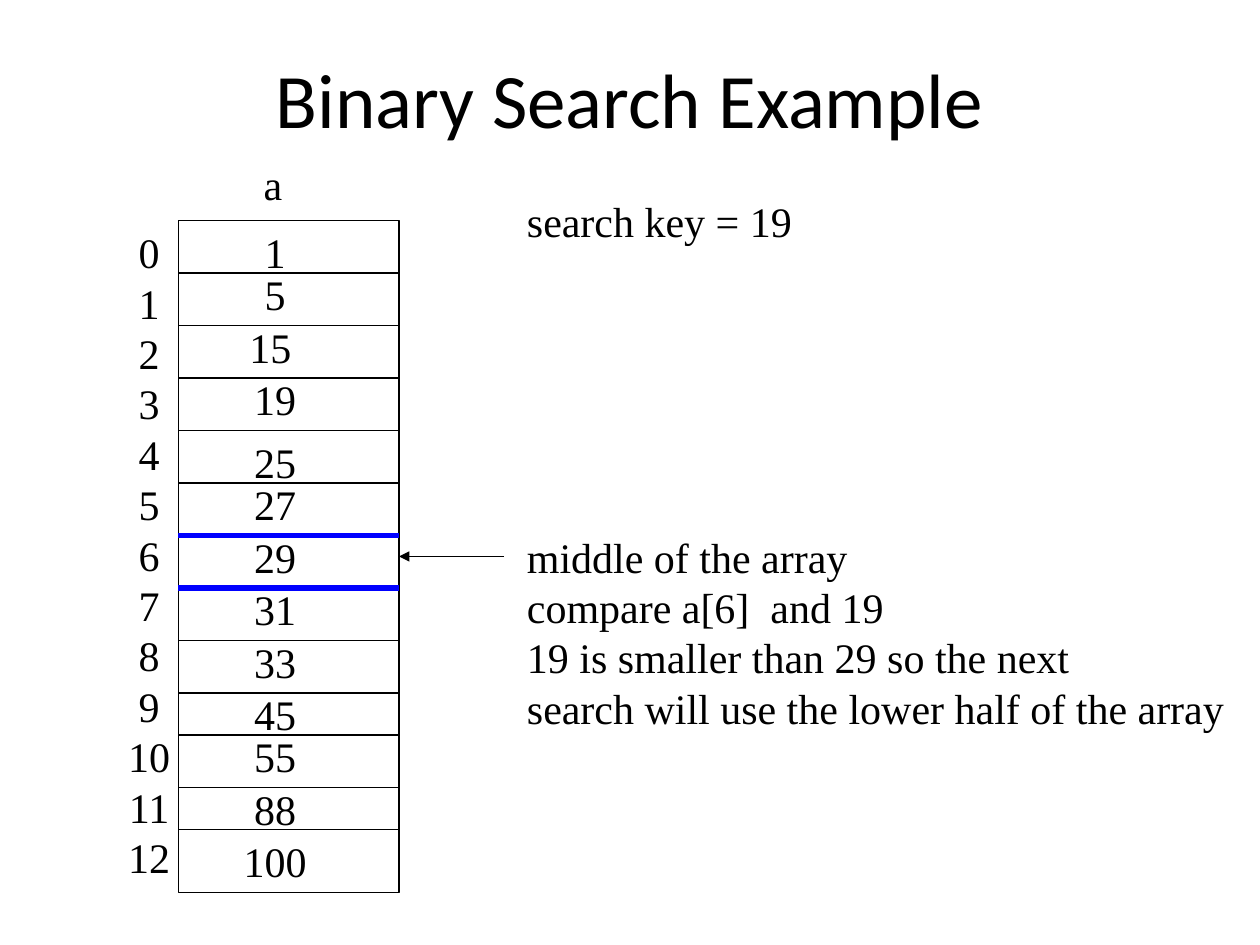
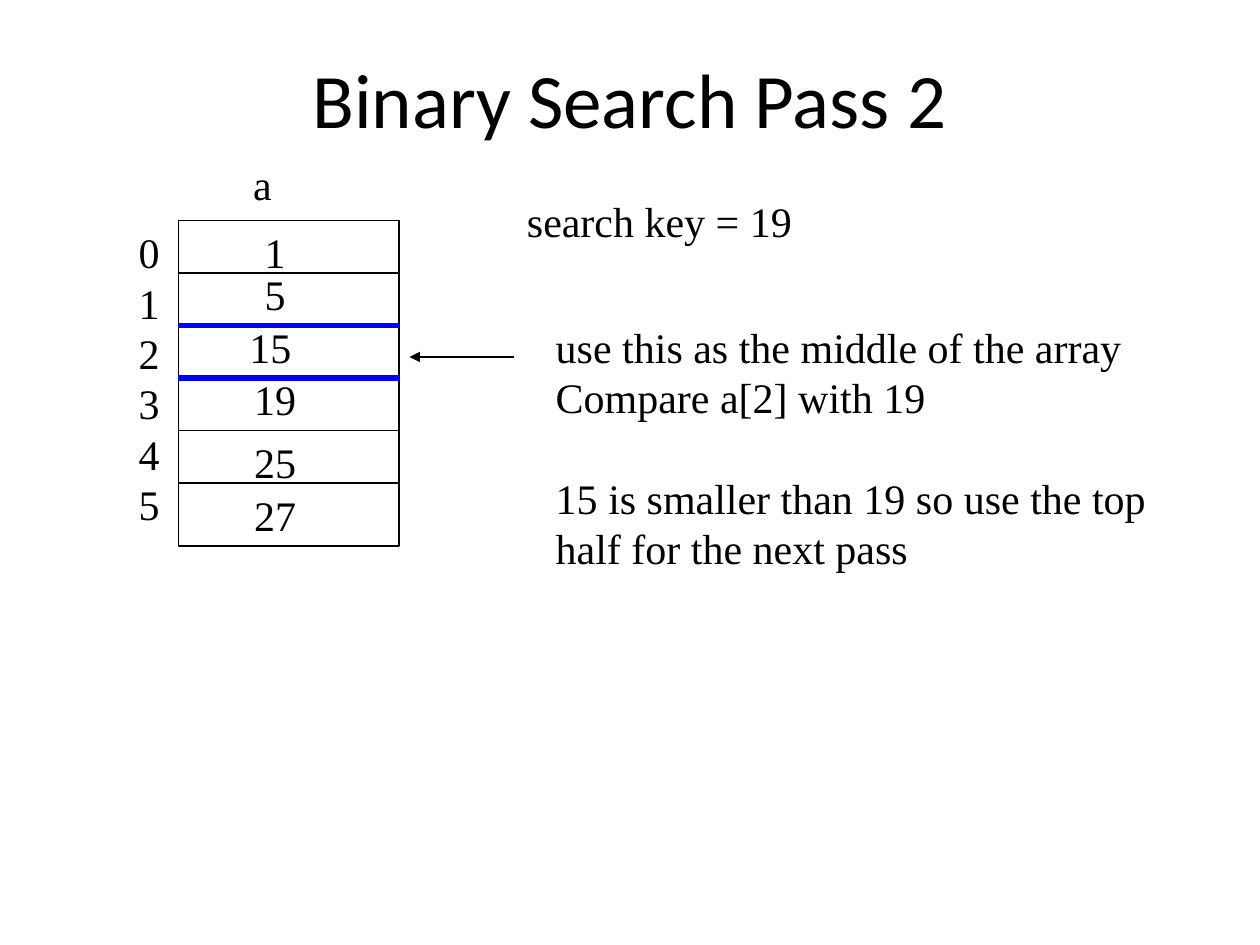
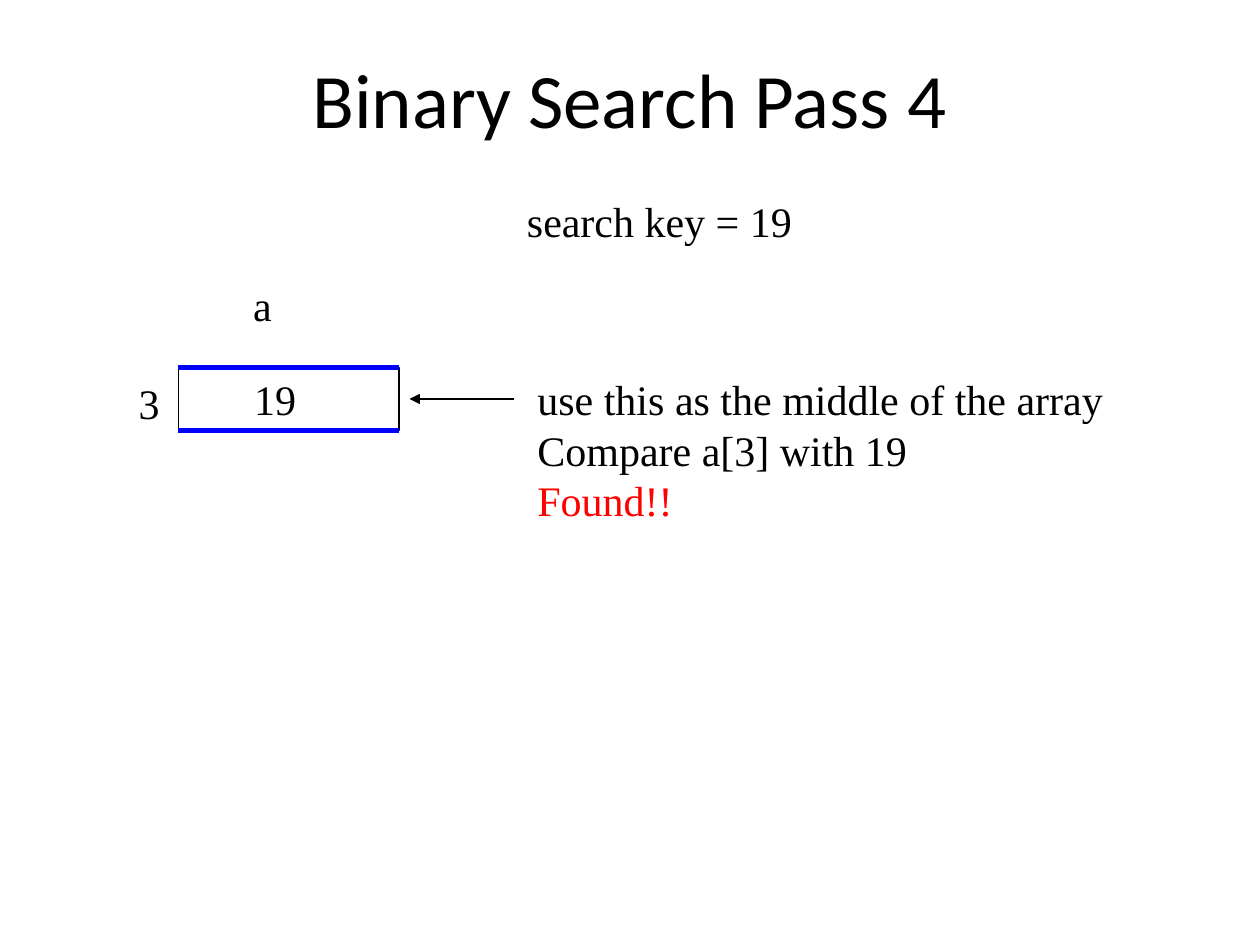
from dataclasses import dataclass

import pptx
import pptx.dml.color
import pptx.enum.shapes
import pptx.enum.text
import pptx.oxml
import pptx.oxml.ns
import pptx.slide
import pptx.util
from lxml import etree

ALIGN = pptx.enum.text.PP_ALIGN
ANCHOR = pptx.enum.text.MSO_ANCHOR
COLUMNS, ROWS = 120, 90
SLIDE_WIDTH, SLIDE_HEIGHT = pptx.util.Inches(10), pptx.util.Inches(7.5)
ARRAY_LEFT, ARRAY_RIGHT = 17, 38
VALUE_CENTER, INDEX_CENTER = 26.2, 14.2
LINE_ROWS, PADDING_ROWS = 4.8, 1.2


@dataclass(frozen=True)
class Theme:
    ink: str = "000000"
    highlight: str = "0000FF"
    success: str = "FF0000"
    title_font: str = "Calibri"
    body_font: str = "Times New Roman"
    title_size: float = 44
    body_size: float = 24
    line_pitch: float = 28.8
    thin: float = 0.75
    thick: float = 3


THEME = Theme()


@dataclass(frozen=True)
class Box:
    left: float
    top: float
    width: float
    height: float


@dataclass(frozen=True)
class Cell:
    value: str
    top: float
    text_top: float
    center: float = VALUE_CENTER


@dataclass(frozen=True)
class Line:
    text: str
    color: str = THEME.ink
    gap_before: float = 0


@dataclass(frozen=True)
class Note:
    left: float
    top: float
    width: float
    lines: tuple[Line, ...]


@dataclass(frozen=True)
class SearchPass:
    title: str
    cells: tuple[Cell, ...]
    bottom: float
    first_index: int
    index_top: float
    name_center: float
    name_top: float
    middle: tuple[float, float]
    arrow_tip: float
    arrow_row: float
    note: Note


ARRAY = (
    Cell("1", 21, 21),
    Cell("5", 26, 25),
    Cell("15", 31, 30, 25.75),
    Cell("19", 36, 35),
    Cell("25", 41, 41),
    Cell("27", 46, 45),
    Cell("29", 51, 50),
    Cell("31", 56, 55),
    Cell("33", 61, 60),
    Cell("45", 66, 65),
    Cell("55", 70, 69),
    Cell("88", 75, 74),
    Cell("100", 79, 79),
)

PASSES = (
    SearchPass(
        "Binary Search Example", ARRAY, bottom=85, first_index=0, index_top=21,
        name_center=26, name_top=14.5, middle=(51, 56), arrow_tip=38, arrow_row=53,
        note=Note(49, 50, 69, (
            Line("middle of the array"),
            Line("compare a[6]  and 19"),
            Line("19 is smaller than 29 so the next"),
            Line("search will use the lower half of the array"),
        )),
    ),
    SearchPass(
        "Binary Search Pass 2", (*ARRAY[:5], Cell("27", 46, 46)), bottom=52,
        first_index=0, index_top=21, name_center=25, name_top=14.5,
        middle=(31, 36), arrow_tip=39, arrow_row=34,
        note=Note(51.75, 30, 60, (
            Line("use this as the middle of the array"),
            Line("Compare a[2] with 19"),
            Line("15 is smaller than 19 so use the top", gap_before=THEME.line_pitch),
            Line("half for the next pass"),
        )),
    ),
    SearchPass(
        "Binary Search Pass 4", (Cell("19", 35, 35),), bottom=41, first_index=3,
        index_top=35.4, name_center=25, name_top=26, middle=(35, 41),
        arrow_tip=39, arrow_row=38,
        note=Note(50, 35, 58, (
            Line("use this as the middle of the array"),
            Line("Compare a[3] with 19"),
            Line("Found!!", color=THEME.success),
        )),
    ),
)


def across(columns: float) -> int:
    return round(SLIDE_WIDTH * columns / COLUMNS)


def down(rows: float) -> int:
    return round(SLIDE_HEIGHT * rows / ROWS)


def frame(box: Box) -> tuple[int, int, int, int]:
    return across(box.left), down(box.top), across(box.width), down(box.height)


def rgb(color: str) -> pptx.dml.color.RGBColor:
    return pptx.dml.color.RGBColor.from_string(color)


def add_text(slide: pptx.slide.Slide, box: Box, lines: tuple[Line, ...], *,
             font: str = THEME.body_font, size: float = THEME.body_size,
             pitch: float | None = THEME.line_pitch, align: ALIGN = ALIGN.LEFT,
             anchor: ANCHOR = ANCHOR.TOP, wrap: bool = True) -> None:
    text_frame = slide.shapes.add_textbox(*frame(box)).text_frame
    text_frame.word_wrap = wrap
    text_frame.vertical_anchor = anchor
    for number, line in enumerate(lines):
        paragraph = text_frame.add_paragraph() if number else text_frame.paragraphs[0]
        paragraph.text = line.text
        paragraph.alignment = align
        if pitch:
            paragraph.line_spacing = pptx.util.Pt(pitch)
        if line.gap_before:
            paragraph.space_before = pptx.util.Pt(line.gap_before)
        paragraph.font.name = font
        paragraph.font.size = pptx.util.Pt(size)
        paragraph.font.color.rgb = rgb(line.color)


def add_centered(slide: pptx.slide.Slide, center: float, top: float, *texts: str) -> None:
    width = 2.4 + 2 * max(map(len, texts))
    height = PADDING_ROWS + LINE_ROWS * len(texts)
    add_text(slide, Box(center - width / 2, top, width, height),
             tuple(map(Line, texts)), align=ALIGN.CENTER, wrap=False)


def add_line(slide: pptx.slide.Slide, start: float, end: float, row: float, *,
             color: str = THEME.ink, weight: float = THEME.thin,
             arrow: bool = False) -> None:
    connector = slide.shapes.add_connector(
        pptx.enum.shapes.MSO_CONNECTOR.STRAIGHT,
        across(start), down(row), across(end), down(row))
    connector.line.color.rgb = rgb(color)
    connector.line.width = pptx.util.Pt(weight)
    if arrow:
        outline = connector.line._get_or_add_ln()
        etree.SubElement(outline, pptx.oxml.ns.qn("a:tailEnd"), type="triangle")
    etree.SubElement(connector._element.spPr, pptx.oxml.ns.qn("a:effectLst"))


def add_array(slide: pptx.slide.Slide, search: SearchPass) -> None:
    top = search.cells[0].top
    outline = slide.shapes.add_shape(
        pptx.enum.shapes.MSO_SHAPE.RECTANGLE,
        *frame(Box(ARRAY_LEFT, top, ARRAY_RIGHT - ARRAY_LEFT, search.bottom - top)))
    outline.shadow.inherit = False
    outline.fill.background()
    outline.line.color.rgb = rgb(THEME.ink)
    outline.line.width = pptx.util.Pt(THEME.thin)

    for cell in search.cells[1:]:
        if cell.top not in search.middle:
            add_line(slide, ARRAY_LEFT, ARRAY_RIGHT, cell.top)
    for row in search.middle:
        add_line(slide, ARRAY_LEFT, ARRAY_RIGHT, row,
                 color=THEME.highlight, weight=THEME.thick)
    for cell in search.cells:
        add_centered(slide, cell.center, cell.text_top, cell.value)

    indexes = range(search.first_index, search.first_index + len(search.cells))
    add_centered(slide, INDEX_CENTER, search.index_top, *map(str, indexes))
    add_centered(slide, search.name_center, search.name_top, "a")


def add_pass(presentation: pptx.presentation.Presentation, search: SearchPass) -> None:
    slide = presentation.slides.add_slide(presentation.slide_layouts[6])
    add_text(slide, Box(6, 3.6, 108, 11.4), (Line(search.title),),
             font=THEME.title_font, size=THEME.title_size, pitch=None,
             align=ALIGN.CENTER, anchor=ANCHOR.MIDDLE)
    add_array(slide, search)
    add_line(slide, search.arrow_tip + 10, search.arrow_tip, search.arrow_row, arrow=True)
    add_text(slide, Box(49, 18, 28, PADDING_ROWS + LINE_ROWS), (Line("search key = 19"),))
    note = search.note
    gaps = sum(line.gap_before for line in note.lines) / THEME.line_pitch
    height = PADDING_ROWS + LINE_ROWS * (len(note.lines) + gaps)
    add_text(slide, Box(note.left, note.top, note.width, height), note.lines)


def main() -> None:
    presentation = pptx.Presentation()
    presentation.slide_width = SLIDE_WIDTH
    presentation.slide_height = SLIDE_HEIGHT
    for search in PASSES:
        add_pass(presentation, search)
    presentation.save("out.pptx")


if __name__ == "__main__":
    main()
